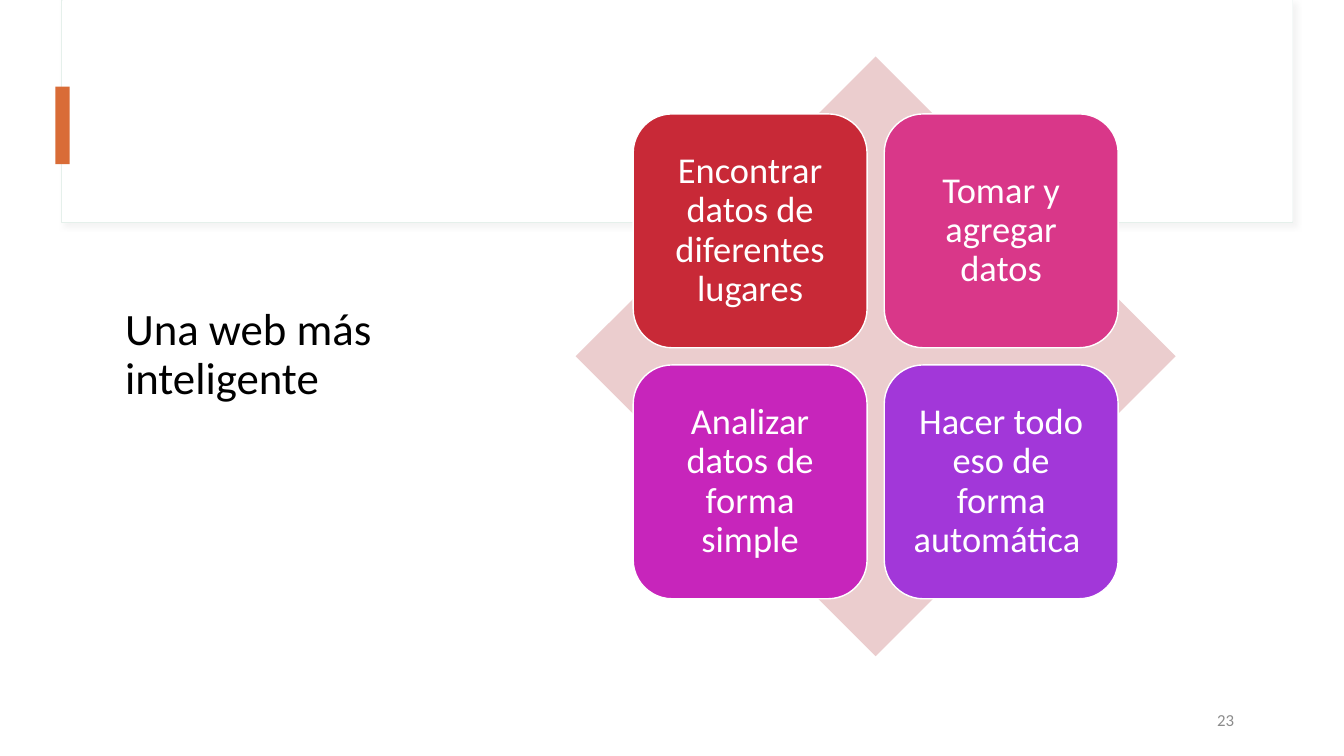
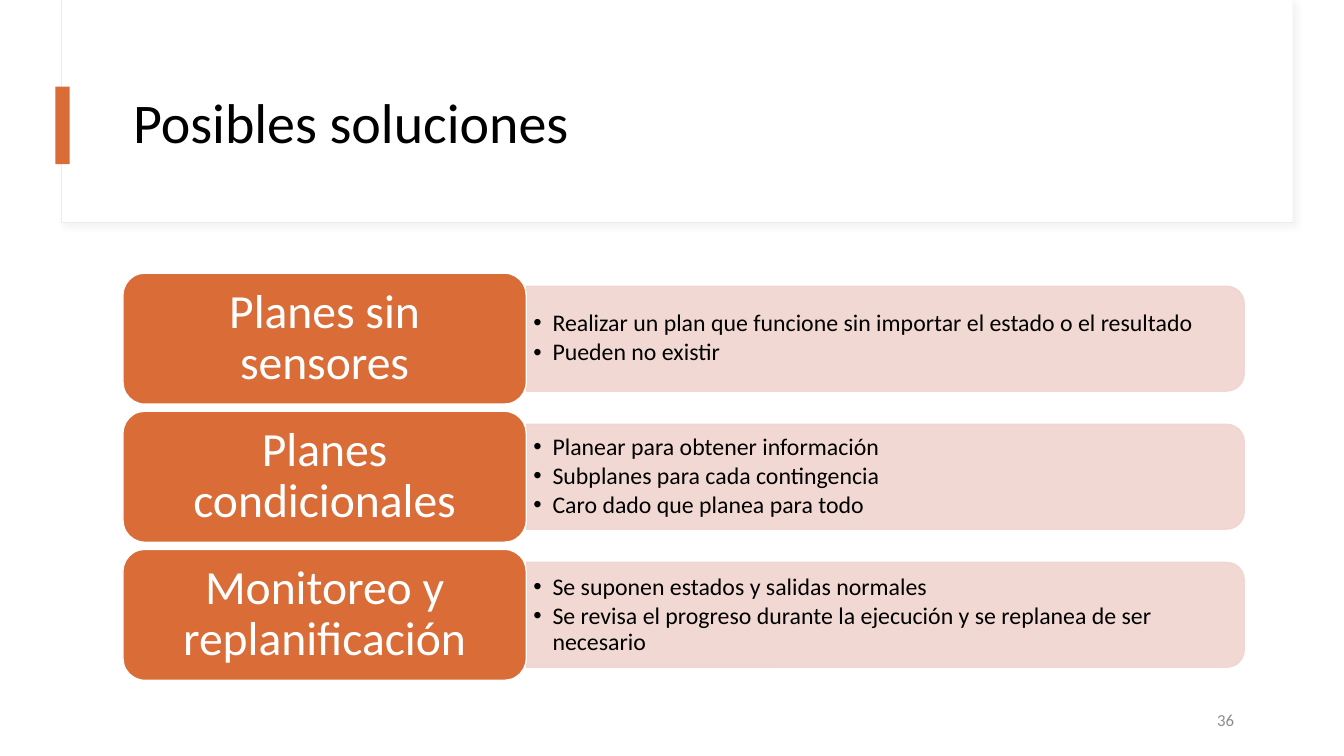
"""Build two slides on a smarter web and on planning solutions."""
from lxml.etree import SubElement
from pptx import Presentation
from pptx.dml.color import RGBColor
from pptx.enum.shapes import MSO_SHAPE
from pptx.enum.text import MSO_ANCHOR, MSO_AUTO_SIZE, PP_ALIGN
from pptx.oxml.ns import qn
from pptx.util import Inches, Pt

WHITE = RGBColor(0xFF, 0xFF, 0xFF)
BLACK = RGBColor(0x00, 0x00, 0x00)
GRAY = RGBColor(0x8C, 0x8C, 0x8C)
ORANGE = RGBColor(0xD9, 0x6C, 0x37)
HEADER_LINE = RGBColor(0xE5, 0xF0, 0xEB)
DIAMOND_PINK = RGBColor(0xEB, 0xCD, 0xCE)
BAND_PINK = RGBColor(0xF1, 0xD4, 0xCE)
RED = RGBColor(0xC8, 0x29, 0x37)
PINK = RGBColor(0xD9, 0x37, 0x89)
MAGENTA = RGBColor(0xC7, 0x25, 0xBB)
PURPLE = RGBColor(0xA2, 0x37, 0xD9)

FONT = "Calibri"


def add_block(slide, kind, box, fill, line=None, width=1):
    """Add a filled preset shape, outlined when a line colour is given."""
    shape = slide.shapes.add_shape(kind, *map(Inches, box))
    shape.shadow.inherit = False
    shape.fill.solid()
    shape.fill.fore_color.rgb = fill
    if line is None:
        shape.line.fill.background()
    else:
        shape.line.color.rgb = line
        shape.line.width = Pt(width)
    return shape


def write(shape, lines, size, color, alignment, insets=(0.1, 0.05), space_after=0):
    """Fill a shape with formatted paragraphs, centred vertically."""
    frame = shape.text_frame
    horizontal, vertical = map(Inches, insets)
    frame_format = {
        "text": "\n".join(lines), "word_wrap": True,
        "auto_size": MSO_AUTO_SIZE.NONE, "vertical_anchor": MSO_ANCHOR.MIDDLE,
        "margin_left": horizontal, "margin_right": horizontal,
        "margin_top": vertical, "margin_bottom": vertical,
    }
    paragraph_format = {
        "alignment": alignment, "line_spacing": 0.9,
        "space_before": Pt(0), "space_after": Pt(space_after),
    }
    for name, value in frame_format.items():
        setattr(frame, name, value)
    for paragraph in frame.paragraphs:
        for name, value in paragraph_format.items():
            setattr(paragraph, name, value)
        for run in paragraph.runs:
            for name, value in {"name": FONT, "size": Pt(size)}.items():
                setattr(run.font, name, value)
            run.font.color.rgb = color


presentation = Presentation()
presentation.slide_width = Inches(13.33)
presentation.slide_height = Inches(7.5)
layout = presentation.slide_layouts[5]

pages = [
    ("Una web más inteligente", 32, (1.14, 0.55, 3.27, 5.95), "23"),
    ("Posibles soluciones", 40, (1.22, 0.6, 11.12, 1.29), "36"),
]
slides = []
for title, size, box, number in pages:
    slide = presentation.slides.add_slide(layout)
    for name, value in zip(("left", "top", "width", "height"), box):
        setattr(slide.shapes.title, name, Inches(value))
    write(slide.shapes.title, [title], size, BLACK, PP_ALIGN.LEFT)
    number_box = slide.shapes.add_textbox(*map(Inches, (9.34, 6.95, 3, 0.4)))
    write(number_box, [number], 12, GRAY, PP_ALIGN.RIGHT)
    slides.append(slide)
web_slide, solutions_slide = slides

header_frame = add_block(web_slide, MSO_SHAPE.RECTANGLE, (0.61, 0, 12.21, 2.21), WHITE, HEADER_LINE, 0.75)
header_panel = add_block(web_slide, MSO_SHAPE.RECTANGLE, (0.62, 0, 12.2, 2.2), WHITE)
header_accent = add_block(web_slide, MSO_SHAPE.RECTANGLE, (0.55, 0.86, 0.14, 0.77), ORANGE)

effects = header_frame.element.spPr.find(qn("a:effectLst"))
shadow = SubElement(effects, qn("a:outerShdw"), blurRad=str(Pt(4)), dist=str(Pt(3)), dir="2700000")
shadow_color = SubElement(shadow, qn("a:srgbClr"), val="D9D9D9")
SubElement(shadow_color, qn("a:alpha"), val="30000")

for index, shape in enumerate((header_frame, header_panel, header_accent)):
    shape.element.nvSpPr.cNvPr.set("id", str(20 + index))
    layout.shapes.element.insert(2 + index, shape.element)

add_block(web_slide, MSO_SHAPE.DIAMOND, (5.71, 0.56, 5.95, 5.95), DIAMOND_PINK)
tiles = [
    ("Encontrar datos de diferentes lugares", RED),
    ("Tomar y agregar datos", PINK),
    ("Analizar datos de forma simple", MAGENTA),
    ("Hacer todo eso de forma automática ", PURPLE),
]
tile_size, tile_pitch = 2.32, 2.49
for index, (text, color) in enumerate(tiles):
    row, column = divmod(index, 2)
    box = (6.28 + column * tile_pitch, 1.13 + row * tile_pitch, tile_size, tile_size)
    tile = add_block(web_slide, MSO_SHAPE.ROUNDED_RECTANGLE, box, color, WHITE)
    write(tile, [text], 26, WHITE, PP_ALIGN.CENTER, (0.11, 0.11))

solutions = [
    ("Planes sin sensores", [
        "Realizar un plan que funcione sin importar el estado o el resultado",
        "Pueden no existir",
    ]),
    ("Planes condicionales", [
        "Planear para obtener información",
        "Subplanes para cada contingencia",
        "Caro dado que planea para todo",
    ]),
    ("Monitoreo y replanificación", [
        "Se suponen estados y salidas normales",
        "Se revisa el progreso durante la ejecución y se replanea de ser necesario",
    ]),
]
row_pitch = 1.37
for index, (heading, points) in enumerate(solutions):
    offset = index * row_pitch
    band = add_block(
        solutions_slide, MSO_SHAPE.ROUND_2_SAME_RECTANGLE,
        (8.26, offset - 0.2, 1.04, 7.12), BAND_PINK, BAND_PINK,
    )
    band.rotation = 90
    for color in band.element.spPr.iter(qn("a:srgbClr")):
        SubElement(color, qn("a:alpha"), val="90000")

    points_box = solutions_slide.shapes.add_textbox(*map(Inches, (5.22, 2.89 + offset, 7.07, 0.94)))
    write(points_box, points, 17, BLACK, PP_ALIGN.LEFT, (0.07, 0.04), 2.5)
    for paragraph in points_box.text_frame.paragraphs:
        properties = paragraph._p.get_or_add_pPr()
        properties.set("marL", str(Inches(0.19)))
        properties.set("indent", str(Inches(-0.19)))
        SubElement(properties, qn("a:buFont"), typeface="Arial")
        SubElement(properties, qn("a:buChar"), char="•")

    heading_block = add_block(
        solutions_slide, MSO_SHAPE.ROUNDED_RECTANGLE,
        (1.22, 2.71 + offset, 4, 1.3), ORANGE, WHITE,
    )
    write(heading_block, [heading], 34, WHITE, PP_ALIGN.CENTER, (0.14, 0.07))

presentation.save("out.pptx")
